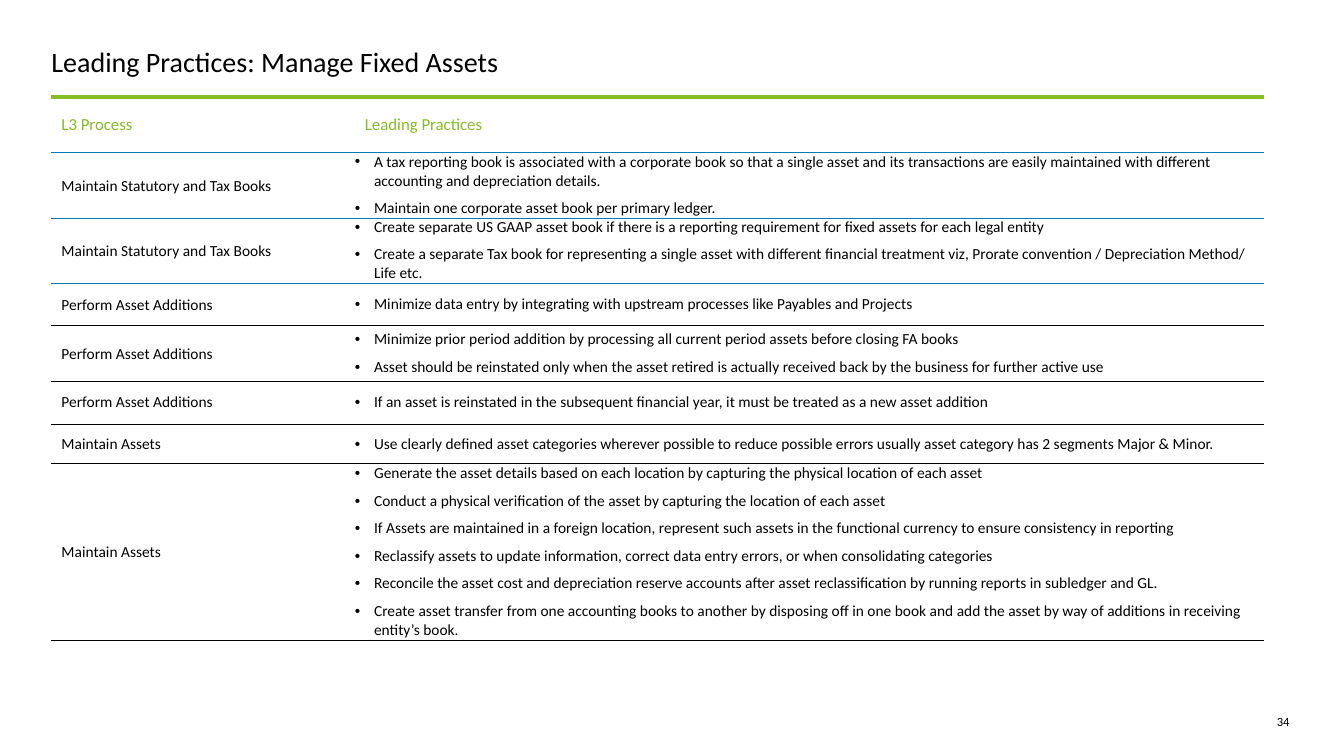
from pptx import Presentation
from pptx.dml.color import RGBColor
from pptx.enum.text import MSO_ANCHOR as Anchor, PP_ALIGN as Align
from pptx.oxml.ns import qn
from pptx.util import Inches, Pt
from lxml.etree import SubElement

COLORS = {"text": "000000", "green": "86BC25", "blue": "007CB0", "white": "FFFFFF"}
FONT = "Calibri"
HEADERS = ["L3 Process", "Leading Practices"]
COLUMN_WIDTHS = [3.01, 9.02]
ROW_HEIGHTS = [0.55, 0.65, 0.65, 0.42, 0.55, 0.43, 0.38, 1.75]
RULES = [("green", 3)] + [("blue", 0.25)] * 3 + [("text", 0.25)] * 5
FIRST_COMPACT_ROW = 5
PRACTICES = [
    ("Maintain Statutory and Tax Books", [
        "A tax reporting book is associated with a corporate book so that a single asset and its "
        "transactions are easily maintained with different accounting and depreciation details.",
        "Maintain one corporate asset book per primary ledger."]),
    ("Maintain Statutory and Tax Books", [
        "Create separate US GAAP asset book if there is a reporting requirement for fixed assets "
        "for each legal entity",
        "Create a separate Tax book for representing a single asset with different financial "
        "treatment viz, Prorate convention / Depreciation Method/ Life etc."]),
    ("Perform Asset Additions", [
        "Minimize data entry by integrating with upstream processes like Payables and Projects"]),
    ("Perform Asset Additions", [
        "Minimize prior period addition by processing all current period assets before closing FA books",
        "Asset should be reinstated only when the asset retired is actually received back by the "
        "business for further active use"]),
    ("Perform Asset Additions", [
        "If an asset is reinstated in the subsequent financial year, it must be treated as a new "
        "asset addition"]),
    ("Maintain Assets", [
        "Use clearly defined asset categories wherever possible to reduce possible errors usually "
        "asset category has 2 segments Major & Minor."]),
    ("Maintain Assets", [
        "Generate the asset details based on each location by capturing the physical location of each asset",
        "Conduct a physical verification of the asset by capturing the location of each asset",
        "If Assets are maintained in a foreign location, represent such assets in the functional "
        "currency to ensure consistency in reporting",
        "Reclassify assets to update information, correct data entry errors, or when consolidating categories",
        "Reconcile the asset cost and depreciation reserve accounts after asset reclassification by "
        "running reports in subledger and GL.",
        "Create asset transfer from one accounting books to another by disposing off in one book and "
        "add the asset by way of additions in receiving entity’s book."]),
]


class PageBuilder:
    """Holds the text style and the current slide."""

    def __init__(self, deck):
        """Add a title-only slide to the deck."""
        self.page = deck.slides.add_slide(deck.slide_layouts[5])

    def style(self, para, size, color="text"):
        """Format every run of a paragraph."""
        for span in para.runs:
            span.font.name = FONT
            span.font.size = Pt(size)
            span.font.bold = False
            span.font.color.rgb = RGBColor.from_string(COLORS[color])

    def inset(self, frame, margin):
        """Give a text frame or a cell equal margins."""
        frame.margin_left = frame.margin_right = Inches(margin)
        frame.margin_top = frame.margin_bottom = Inches(margin)

    def fill_frame(self, frame, text, size, align):
        """Write one line of text in a frame without margins."""
        frame.text = text
        frame.word_wrap = True
        frame.vertical_anchor = Anchor.TOP
        self.inset(frame, 0)
        frame.paragraphs[0].alignment = align
        self.style(frame.paragraphs[0], size)

    def title(self, text, left, top, width, height):
        """Place and format the title placeholder."""
        box = self.page.shapes.title
        box.left, box.top = Inches(left), Inches(top)
        box.width, box.height = Inches(width), Inches(height)
        self.fill_frame(box.text_frame, text, 20, Align.LEFT)

    def page_number(self, text, left, top, width, height):
        """Add the page number."""
        box = self.page.shapes.add_textbox(Inches(left), Inches(top), Inches(width), Inches(height))
        self.fill_frame(box.text_frame, text, 9, Align.RIGHT)

    def borders(self, cell, above, below):
        """Rule a cell above and below and leave its sides open."""
        properties = cell._tc.get_or_add_tcPr()
        for tag, rule in (("lnL", None), ("lnR", None), ("lnT", above), ("lnB", below)):
            line = SubElement(properties, qn(f"a:{tag}"))
            if rule is None:
                SubElement(line, qn("a:noFill"))
                continue
            color, width = rule
            line.set("w", str(Pt(width)))
            SubElement(SubElement(line, qn("a:solidFill")), qn("a:srgbClr")).set("val", COLORS[color])

    def bullet(self, para):
        """Turn a paragraph into a bullet with a hanging indent."""
        properties = para._p.get_or_add_pPr()
        properties.set("marL", str(Inches(0.19)))
        properties.set("indent", str(-Inches(0.19)))
        SubElement(properties, qn("a:buFont")).set("typeface", "Arial")
        SubElement(properties, qn("a:buChar")).set("char", "•")
        para.space_after = Pt(6)

    def process(self, cell, text, compact):
        """Write the process name of a row."""
        cell.text = text
        para = cell.text_frame.paragraphs[0]
        if not compact:
            para.line_spacing = 1.1
            para.space_after = Pt(6)
        self.style(para, 11)

    def bullets(self, cell, items):
        """Write the practices of a row as bullets."""
        cell.text = "\n".join(items)
        self.inset(cell, 0)
        for para in cell.text_frame.paragraphs:
            self.bullet(para)
            self.style(para, 11)

    def table(self, left, top):
        """Add the table of leading practices."""
        table = self.page.shapes.add_table(
            len(ROW_HEIGHTS), len(COLUMN_WIDTHS), Inches(left), Inches(top),
            Inches(sum(COLUMN_WIDTHS)), Inches(sum(ROW_HEIGHTS))).table
        table.horz_banding = False
        for column, width in zip(table.columns, COLUMN_WIDTHS):
            column.width = Inches(width)
        for index, (row, height) in enumerate(zip(table.rows, ROW_HEIGHTS)):
            row.height = Inches(height)
            for cell in row.cells:
                cell.vertical_anchor = Anchor.MIDDLE
                self.inset(cell, 0.1)
                self.borders(cell, RULES[index], RULES[index + 1])
                cell.fill.background()
        for column, text in enumerate(HEADERS):
            cell = table.cell(0, column)
            cell.text = text
            self.style(cell.text_frame.paragraphs[0], 12, "green")
        cell.fill.solid()
        cell.fill.fore_color.rgb = RGBColor.from_string(COLORS["white"])
        for index, (name, items) in enumerate(PRACTICES, 1):
            self.process(table.cell(index, 0), name, index >= FIRST_COMPACT_ROW)
            self.bullets(table.cell(index, 1), items)


def main():
    """Build the deck and save it."""
    deck = Presentation()
    deck.slide_width, deck.slide_height = Inches(13.33), Inches(7.5)
    builder = PageBuilder(deck)
    builder.title("Leading Practices: Manage Fixed Assets", 0.51, 0.44, 12.31, 0.76)
    builder.table(0.51, 0.96)
    builder.page_number("34", 12.45, 7.08, 0.34, 0.15)
    deck.save("out.pptx")


if __name__ == "__main__":
    main()
